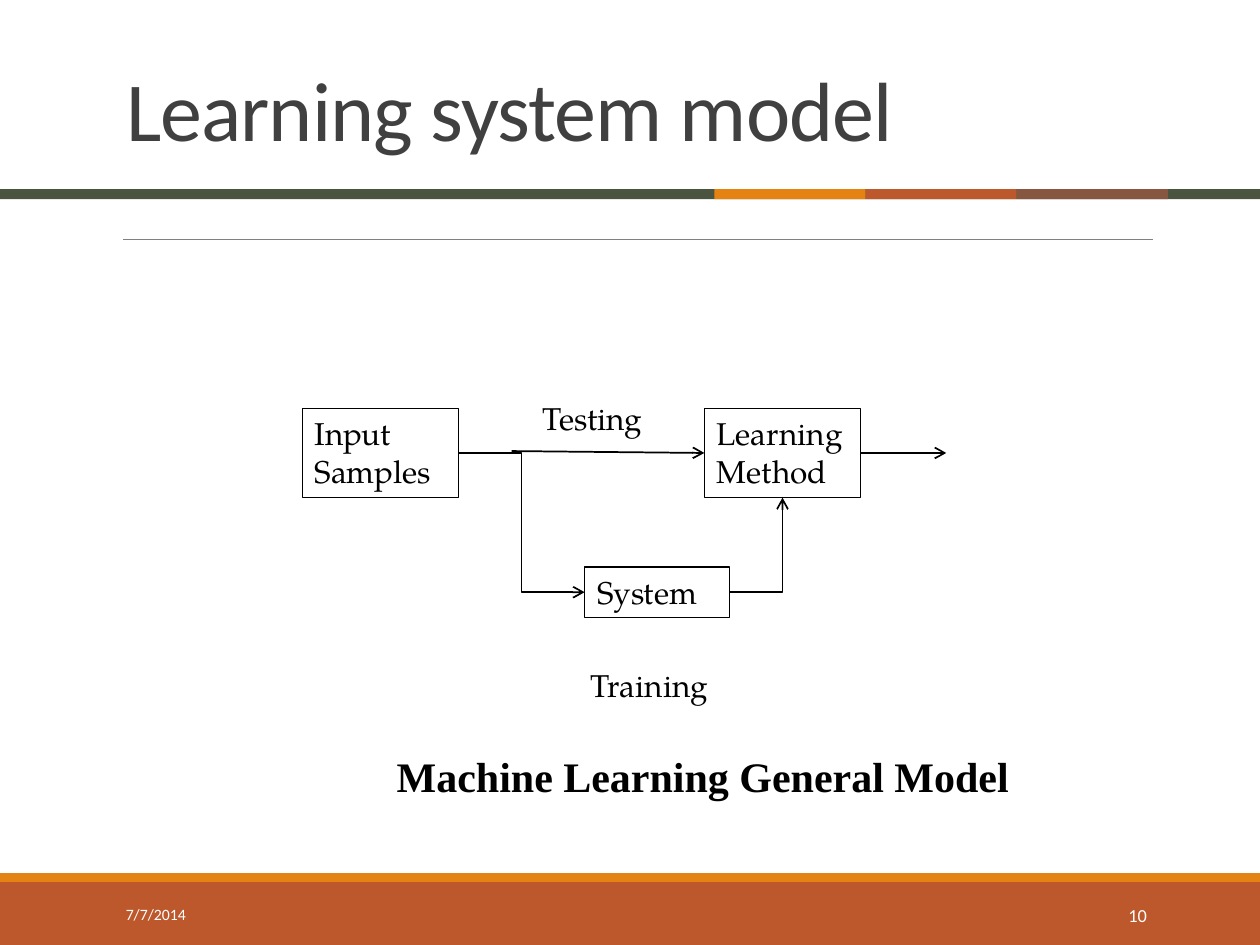
from dataclasses import dataclass

from lxml import etree
from pptx import Presentation
from pptx.dml.color import RGBColor
from pptx.enum.shapes import MSO_CONNECTOR, MSO_SHAPE
from pptx.enum.text import MSO_ANCHOR, MSO_AUTO_SIZE, PP_ALIGN
from pptx.oxml.ns import qn
from pptx.util import Inches, Pt

RECTANGLE = MSO_SHAPE.RECTANGLE
STRAIGHT, ELBOW = MSO_CONNECTOR.STRAIGHT, MSO_CONNECTOR.ELBOW
LEFT, RIGHT = PP_ALIGN.LEFT, PP_ALIGN.RIGHT
TOP, MIDDLE, BOTTOM = MSO_ANCHOR.TOP, MSO_ANCHOR.MIDDLE, MSO_ANCHOR.BOTTOM
NO_AUTOFIT = MSO_AUTO_SIZE.NONE
SIDE_LEFT, SIDE_BOTTOM, SIDE_RIGHT = 1, 2, 3

BLACK = RGBColor(0x00, 0x00, 0x00)
WHITE = RGBColor(0xFF, 0xFF, 0xFF)
CHARCOAL = RGBColor(0x40, 0x40, 0x40)
GRAY = RGBColor(0x80, 0x80, 0x80)
OLIVE = RGBColor(0x4A, 0x54, 0x3E)
ORANGE = RGBColor(0xE4, 0x83, 0x12)
RUST = RGBColor(0xBD, 0x58, 0x2C)
BROWN = RGBColor(0x86, 0x56, 0x40)

SLIDE_WIDTH, SLIDE_HEIGHT = Inches(10), Inches(7.5)
COLUMN, ROW = SLIDE_WIDTH / 100, SLIDE_HEIGHT / 75
HEADING_FONT, DIAGRAM_FONT, CAPTION_FONT = "Calibri", "TeX Gyre Pagella", "Times New Roman"


@dataclass
class Box:
    """A rectangle measured in grid columns and rows."""

    left: float
    top: float
    width: float
    height: float

    def inside(self, left, top, width, height):
        """Return a box whose corner is offset from this box's corner."""
        return Box(self.left + left, self.top + top, width, height)

    def point(self, column, row):
        """Return slide lengths of a point offset from this box's corner."""
        return round((self.left + column) * COLUMN), round((self.top + row) * ROW)

    def frame(self):
        """Return left, top, width and height as slide lengths."""
        return (*self.point(0, 0), round(self.width * COLUMN), round(self.height * ROW))


def write_text(shape, text, font=DIAGRAM_FONT, size=18, color=BLACK, bold=False,
               align=LEFT, anchor=TOP):
    """Write one formatted paragraph into a shape and return it."""
    frame = shape.text_frame
    frame.word_wrap = True
    frame.auto_size = NO_AUTOFIT
    frame.vertical_anchor = anchor
    para = frame.paragraphs[0]
    para.alignment = align
    span = para.add_run()
    span.text = text
    span.font.name, span.font.size = font, Pt(size)
    span.font.bold, span.font.color.rgb = bold, color
    return para


def add_label(page, box, text, **style):
    """Add a text box."""
    write_text(page.shapes.add_textbox(*box.frame()), text, **style)


def add_block(page, box, fill, line=None):
    """Add a flat rectangle, outlined when a line colour is given."""
    block = page.shapes.add_shape(RECTANGLE, *box.frame())
    block.shadow.inherit = False
    block.fill.solid()
    block.fill.fore_color.rgb = fill
    if line is None:
        block.line.fill.background()
    else:
        block.line.color.rgb = line
        block.line.width = Pt(0.75)
    return block


def add_node(page, box, text):
    """Add an outlined diagram node."""
    node = add_block(page, box, WHITE, line=BLACK)
    write_text(node, text)
    return node


def add_line(page, start, end, kind=STRAIGHT, color=BLACK, width=1, arrow=True):
    """Add a shadowless connector, with an open arrowhead at its end by default."""
    line = page.shapes.add_connector(kind, *start, *end)
    line.line.color.rgb = color
    line.line.width = Pt(width)
    if arrow:
        etree.SubElement(line.line._get_or_add_ln(), qn("a:tailEnd"), type="arrow")
    etree.SubElement(line._element.spPr, qn("a:effectLst"))
    return line


def build_title(page, box):
    """Place and format the title."""
    title = page.shapes.title
    title.left, title.top, title.width, title.height = box.frame()
    para = write_text(title, "Learning system model", font=HEADING_FONT, size=48,
                      color=CHARCOAL, anchor=BOTTOM)
    para.line_spacing = 0.85
    para.runs[0].font._element.set("spc", "-50")


def build_band(page, box):
    """Draw the coloured band and the thin rule below it."""
    add_block(page, box, OLIVE)
    for index, color in enumerate((ORANGE, RUST, BROWN)):
        add_block(page, box.inside(56.7 + 12 * index, 0, 12, box.height), color)
    add_line(page, box.point(9.8, 4), box.point(91.5, 4), color=GRAY, width=0.5, arrow=False)


def build_diagram(page, box):
    """Draw the nodes, their arrows and the labels of the model."""
    samples = add_node(page, box.inside(0, 1.2, 12.4, 7.1), "Input Samples")
    method = add_node(page, box.inside(31.9, 1.2, 12.4, 7.1), "Learning Method")
    system = add_node(page, box.inside(22.4, 13.8, 11.5, 4), "System")

    middle = 4.75
    training = add_line(page, box.point(12.4, middle), box.point(22.4, 15.8), kind=ELBOW)
    training.begin_connect(samples, SIDE_RIGHT)
    training.end_connect(system, SIDE_LEFT)

    testing = add_line(page, box.point(16.6, 4.6), box.point(31.9, middle))
    testing.end_connect(method, SIDE_LEFT)

    output = add_line(page, box.point(44.3, middle), box.point(51.1, middle))
    output.begin_connect(method, SIDE_RIGHT)

    feedback = add_line(page, box.point(33.9, 15.8), box.point(38.1, 8.3), kind=ELBOW)
    feedback._element.spPr.find(qn("a:prstGeom")).set("prst", "bentConnector2")
    feedback.begin_connect(system, SIDE_RIGHT)
    feedback.end_connect(method, SIDE_BOTTOM)

    add_label(page, box.inside(21.9, 21.2, 12.9, 4), "Training")
    add_label(page, box.inside(18.1, 0, 10.6, 4), "Testing")


def build_footer(page, box):
    """Draw the footer bar with the date and the slide number."""
    add_block(page, box.inside(0, 0.7, box.width, 5), RUST)
    add_block(page, box.inside(0, 0, box.width, 0.7), ORANGE)
    style = {"font": HEADING_FONT, "color": WHITE, "anchor": MIDDLE}
    add_label(page, box.inside(9, 1.3, 20.3, 4), "7/7/2014", size=9, **style)
    add_label(page, box.inside(81.2, 1.3, 10.8, 4), "10", size=10.5, align=RIGHT, **style)


def main():
    """Build the slide and save the deck."""
    deck = Presentation()
    deck.slide_width, deck.slide_height = SLIDE_WIDTH, SLIDE_HEIGHT
    page = deck.slides.add_slide(deck.slide_layouts.get_by_name("Title Only"))
    build_footer(page, Box(0, 69.3, 100, 5.7))
    build_band(page, Box(0, 15, 100, 0.8))
    build_title(page, Box(9, 3.1, 82.5, 10))
    build_diagram(page, Box(24, 31.2, 51.1, 25.2))
    add_label(page, Box(30.5, 59.1, 58.9, 5), "Machine Learning General Model",
              font=CAPTION_FONT, size=24, bold=True)
    deck.save("out.pptx")


if __name__ == "__main__":
    main()
